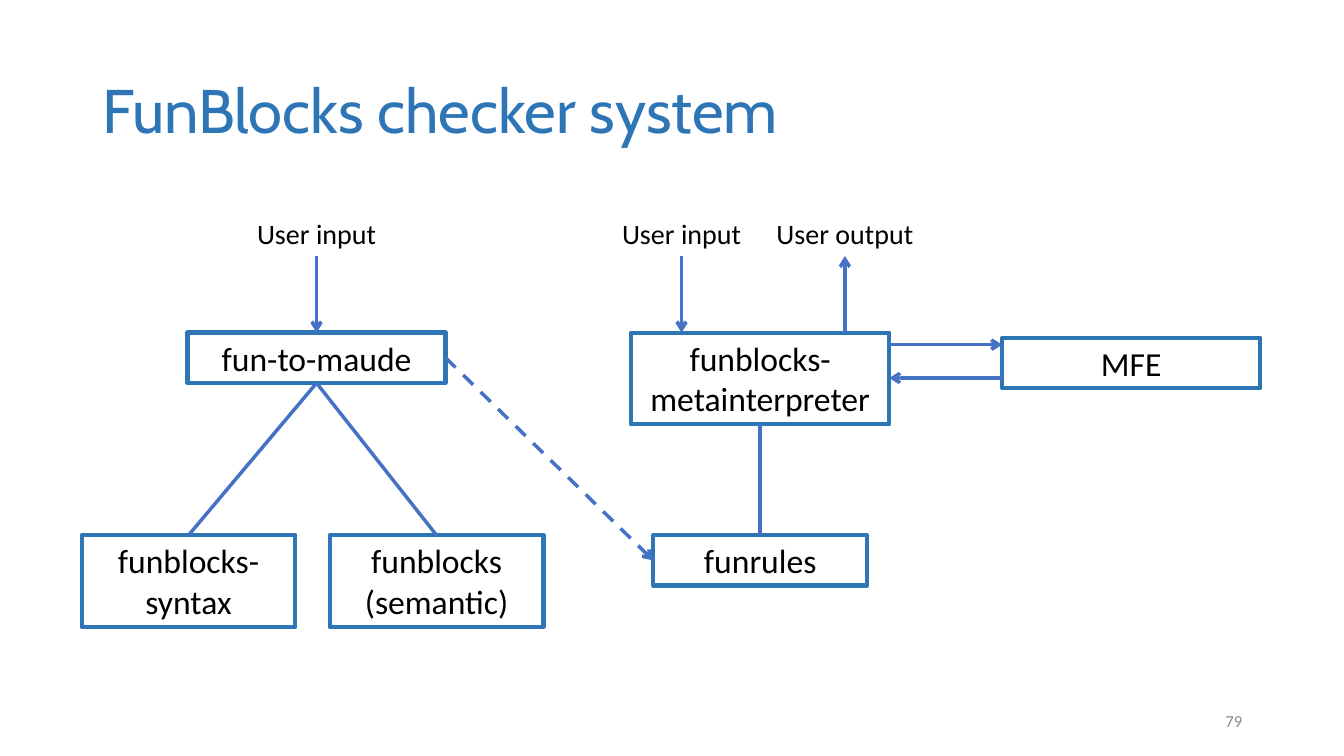
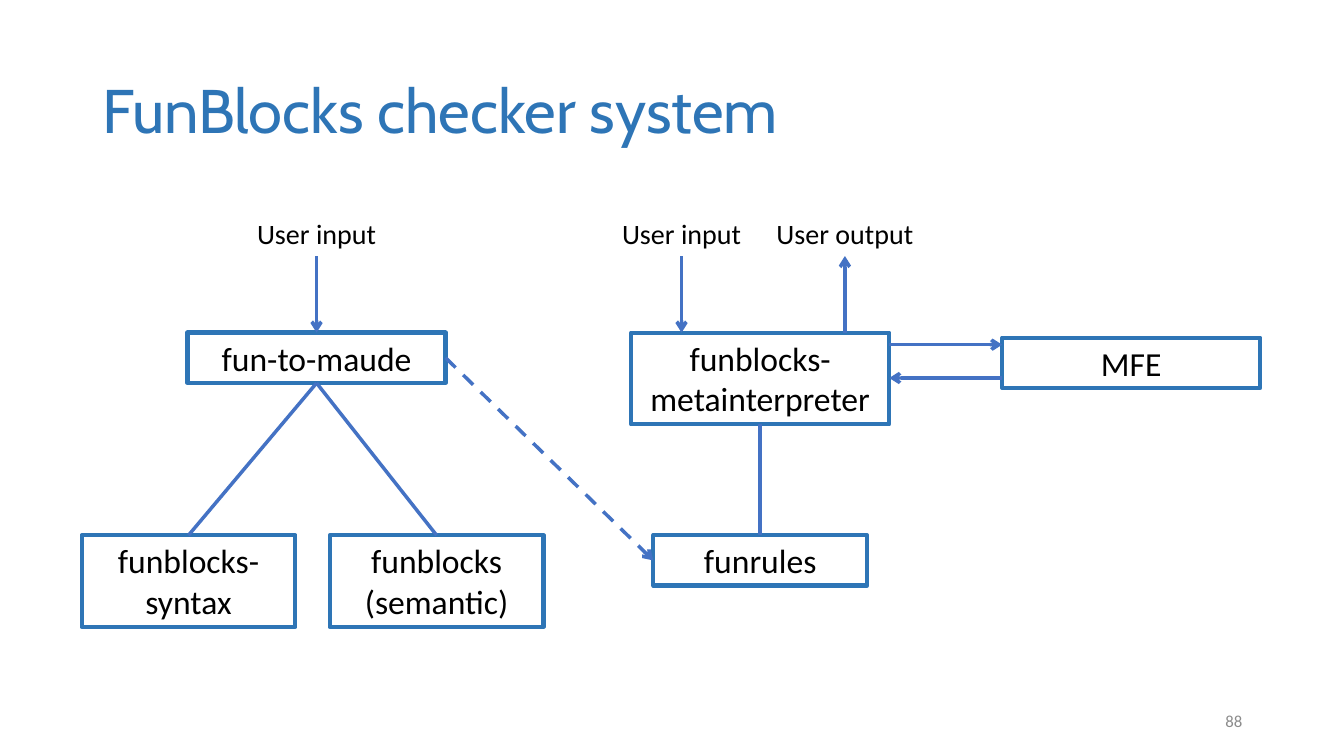
from dataclasses import dataclass

from lxml import etree
from pptx import Presentation
from pptx.dml.color import RGBColor
from pptx.enum.dml import MSO_LINE
from pptx.enum.shapes import MSO_CONNECTOR, MSO_SHAPE
from pptx.enum.text import MSO_ANCHOR, MSO_AUTO_SIZE, PP_ALIGN
from pptx.oxml.ns import qn
from pptx.util import Inches, Pt

# Shared style
BLUE = RGBColor(0x2E, 0x75, 0xB6)
LINK_BLUE = RGBColor(0x44, 0x72, 0xC4)
BLACK = RGBColor(0, 0, 0)
GREY = RGBColor(0x8C, 0x8C, 0x8C)
TITLE_FONT = "Cabin"
BODY_FONT = "Calibri"
LEFT, CENTER, RIGHT = PP_ALIGN.LEFT, PP_ALIGN.CENTER, PP_ALIGN.RIGHT
TOP, MIDDLE = MSO_ANCHOR.TOP, MSO_ANCHOR.MIDDLE
FIT_SHAPE = MSO_AUTO_SIZE.SHAPE_TO_FIT_TEXT
RECTANGLE = MSO_SHAPE.RECTANGLE
STRAIGHT = MSO_CONNECTOR.STRAIGHT
DASH = MSO_LINE.DASH

# Diagram measures, in inches
WIDE, NARROW = 2.56, 2.12
ONE_LINE, TWO_LINES = 0.5, 0.91
LABEL_WIDTH, LABEL_HEIGHT = 1.99, 0.44
UPPER_ROW, LOWER_ROW = 1.2, 3.21


@dataclass
class Box:
    left: float
    top: float
    width: float
    height: float

    @property
    def right(self):
        return self.left + self.width

    @property
    def bottom(self):
        return self.top + self.height

    @property
    def center(self):
        return self.left + self.width / 2

    @property
    def middle(self):
        return self.top + self.height / 2

    def inside(self, left, top, width, height):
        return Box(self.left + left, self.top + top, width, height)

    def lengths(self):
        return [Inches(value) for value in (self.left, self.top, self.width, self.height)]


TITLE_BOX = Box(0.92, 0.4, 11.5, 1.45)
NUMBER_BOX = Box(9.42, 6.95, 3, 0.4)
DIAGRAM_BOX = Box(0.81, 2.1, 11.69, 4.12)


def write(shape, lines, size, color, align, font=BODY_FONT, anchor=TOP, spacing=None):
    frame = shape.text_frame
    frame.word_wrap = True
    frame.vertical_anchor = anchor
    for index, line in enumerate(lines):
        para = frame.paragraphs[0] if index == 0 else frame.add_paragraph()
        para.alignment = align
        para.line_spacing = spacing
        span = para.add_run()
        span.text = line
        span.font.name = font
        span.font.size = Pt(size)
        span.font.color.rgb = color


def add_text(page, box, text, *style, **options):
    shape = page.shapes.add_textbox(*box.lengths())
    write(shape, [text], *style, **options)
    return shape


def add_node(page, box, *lines):
    shape = page.shapes.add_shape(RECTANGLE, *box.lengths())
    shape.shadow.inherit = False
    shape.fill.background()
    shape.line.color.rgb = BLUE
    shape.line.width = Pt(3)
    write(shape, lines, 24, BLACK, CENTER)
    shape.text_frame.auto_size = FIT_SHAPE
    return box


def add_link(page, start, end, arrow=True, dashed=False):
    link = page.shapes.add_connector(STRAIGHT, *(Inches(value) for value in (*start, *end)))
    link.line.color.rgb = LINK_BLUE
    link.line.width = Pt(2.5)
    if dashed:
        link.line.dash_style = DASH
    properties = link._element.spPr
    if arrow:
        etree.SubElement(properties.find(qn("a:ln")), qn("a:tailEnd"), type="arrow")
    etree.SubElement(properties, qn("a:effectLst"))


def add_user_port(page, diagram, node, center, text, outgoing=False):
    """A label above a node, joined to it by an arrow."""
    label = Box(center - LABEL_WIDTH / 2, diagram.top, LABEL_WIDTH, LABEL_HEIGHT)
    shape = add_text(page, label, text, 20, BLACK, CENTER)
    shape.text_frame.auto_size = FIT_SHAPE
    ends = [(center, label.bottom), (center, node.top)]
    if outgoing:
        ends.reverse()
    add_link(page, *ends)


def add_diagram(page, area):
    # Nodes
    syntax = add_node(page, area.inside(0, LOWER_ROW, NARROW, TWO_LINES), "funblocks-syntax")
    semantic = add_node(page, area.inside(2.46, LOWER_ROW, NARROW, TWO_LINES),
                        "funblocks", "(semantic)")
    interpreter = add_node(page, area.inside(5.45, UPPER_ROW, WIDE, TWO_LINES),
                           "funblocks-metainterpreter")
    converter = add_node(page, area.inside(1.05, UPPER_ROW, WIDE, ONE_LINE), "fun-to-maude")
    rules = add_node(page, area.inside(5.67, LOWER_ROW, NARROW, ONE_LINE), "funrules")
    engine = add_node(page, area.inside(9.13, UPPER_ROW + 0.05, WIDE, ONE_LINE), "MFE")

    # Plain links from each upper node down to its parts
    for upper, lower in ((converter, syntax), (converter, semantic), (interpreter, rules)):
        add_link(page, (upper.center, upper.bottom), (lower.center, lower.top), arrow=False)

    # Exchange between interpreter and engine
    request, reply = engine.top + 0.07, engine.bottom - 0.1
    add_link(page, (interpreter.right, request), (engine.left, request))
    add_link(page, (engine.left, reply), (interpreter.right, reply))

    # Generated rules
    add_link(page, (converter.right, converter.middle), (rules.left, rules.middle), dashed=True)

    # User input and output
    add_user_port(page, area, converter, converter.center, "User input")
    add_user_port(page, area, interpreter, interpreter.left + 0.5, "User input")
    add_user_port(page, area, interpreter, interpreter.right - 0.44, "User output", outgoing=True)


def add_system_page(deck, number):
    page = deck.slides.add_slide(deck.slide_layouts[6])
    add_text(page, TITLE_BOX, "FunBlocks checker system", 44, BLUE, LEFT,
             font=TITLE_FONT, anchor=MIDDLE, spacing=0.9)
    add_text(page, NUMBER_BOX, str(number), 12, GREY, RIGHT, anchor=MIDDLE)
    add_diagram(page, DIAGRAM_BOX)


def main():
    deck = Presentation()
    deck.slide_width = Inches(13.33)
    deck.slide_height = Inches(7.5)
    for number in (79, 88):
        add_system_page(deck, number)
    deck.save("out.pptx")


if __name__ == "__main__":
    main()
